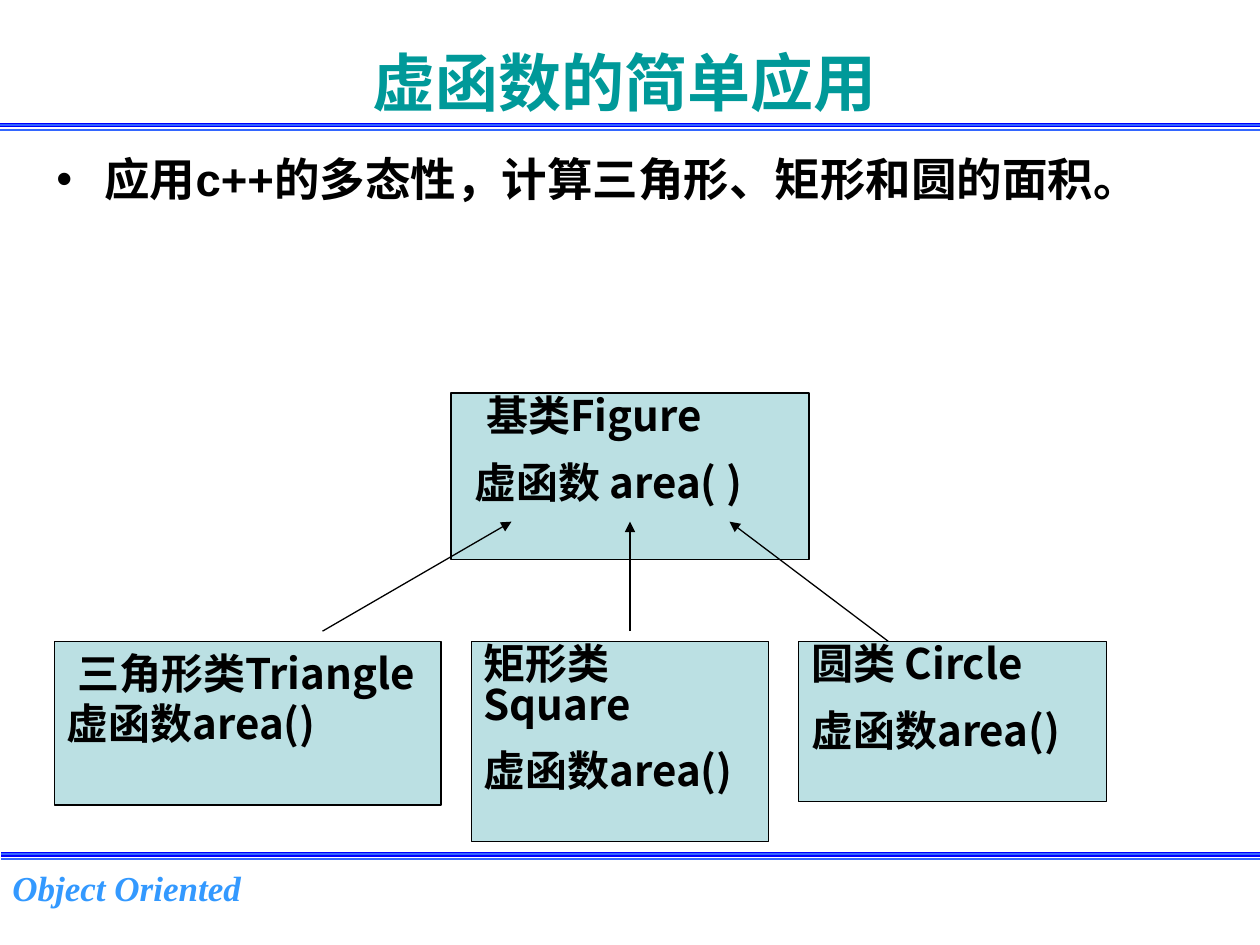
from lxml.etree import SubElement
from pptx import Presentation
from pptx.dml.color import RGBColor
from pptx.enum.shapes import MSO_CONNECTOR, MSO_SHAPE
from pptx.enum.text import MSO_ANCHOR, PP_ALIGN
from pptx.oxml.ns import qn
from pptx.util import Pt


def write(paragraph, text, size, font, color):
    paragraph.text = text
    for span in paragraph.runs:
        span.font.size = Pt(size)
        span.font.name = font
        span.font.bold = True
        span.font.color.rgb = RGBColor.from_string(color)
        if font != "Times New Roman":
            SubElement(span.font._element, qn("a:ea"), typeface="Noto Sans CJK SC")


def draw_line(x1, y1, x2, y2, color, width):
    line = page.shapes.add_connector(
        MSO_CONNECTOR.STRAIGHT, Pt(x1), Pt(y1), Pt(x2), Pt(y2))
    line.line.color.rgb = RGBColor.from_string(color)
    line.line.width = Pt(width)
    SubElement(line._element.spPr, qn("a:effectLst"))
    return line


deck = Presentation()
deck.slide_width, deck.slide_height = Pt(720), Pt(540)
page = deck.slides.add_slide(deck.slide_layouts[6])

for left, top in [(0, 71.3), (0.72, 488.2)]:
    for offset, color, width in [(0, "0000FF", 2.5), (2.9, "3366FF", 1.25), (0, "3366FF", 1.25)]:
        draw_line(left, top + offset, left + 720, top + offset, color, width)

labels = [
    ("Object Oriented", 0, 491.8, 235.4, 37.4, 20, "Times New Roman", "3399FF"),
    ("虚函数的简单应用", 36, 21.6, 641.5, 49.7, 36, "Arial", "009999"),
    ("应用c++的多态性，计算三角形、矩形和圆的面积。", 25.2, 82.8, 657.4, 396.7, 26, "Arial", "000000"),
]
paragraphs = []
for text, left, top, width, height, size, font, color in labels:
    box = page.shapes.add_textbox(Pt(left), Pt(top), Pt(width), Pt(height))
    box.text_frame.word_wrap = True
    para = box.text_frame.paragraphs[0]
    write(para, text, size, font, color)
    paragraphs.append(para)

footer, title, body = paragraphs
footer.runs[0].font.italic = True
title.alignment = PP_ALIGN.CENTER
title._p.getparent().find(qn("a:bodyPr")).set("anchor", "ctr")
properties = body._p.get_or_add_pPr()
properties.set("marL", str(Pt(27.4)))
properties.set("indent", str(-Pt(27.4)))
SubElement(properties, qn("a:buFont"), typeface="Arial")
SubElement(properties, qn("a:buChar"), char="•")

classes = [
    (456.5, 366.5, 175.7, 91.4, 0.8, [("圆类 Circle", 0), ("虚函数area()", 0)]),
    (31, 366.5, 221, 93.6, 1, [("三角形类Triangle 虚函数area()", 6)]),
    (269.3, 366.5, 169.9, 114.5, 0.8, [("矩形类Square", 0), ("虚函数area()", 0)]),
    (257.8, 224.6, 204.5, 95, 0.8, [("基类Figure", 13), ("虚函数 area( )", 6)]),
]
for left, top, width, height, spacing, lines in classes:
    box = page.shapes.add_shape(
        MSO_SHAPE.RECTANGLE, Pt(left), Pt(top), Pt(width), Pt(height))
    box.shadow.inherit = False
    box.fill.solid()
    box.fill.fore_color.rgb = RGBColor.from_string("BBE0E3")
    box.line.color.rgb = RGBColor.from_string("000000")
    box.line.width = Pt(0.75)
    frame = box.text_frame
    frame.word_wrap = True
    frame.vertical_anchor = MSO_ANCHOR.TOP
    for index, (text, indent) in enumerate(lines):
        para = frame.add_paragraph() if index else frame.paragraphs[0]
        para.alignment = PP_ALIGN.LEFT
        para.line_spacing = spacing
        para.space_before = Pt(15 if index else 0)
        para._p.get_or_add_pPr().set("indent", str(Pt(indent)))
        write(para, text, 24, "Noto Sans CJK SC", "000000")

for x1, y1, x2 in [(184.3, 360.7, 292.3), (360, 360.7, 360), (507.6, 366.5, 416.9)]:
    arrow = draw_line(x1, y1, x2, 298.1, "000000", 0.75)
    SubElement(arrow.line._get_or_add_ln(), qn("a:tailEnd"), type="triangle")

deck.save("out.pptx")
